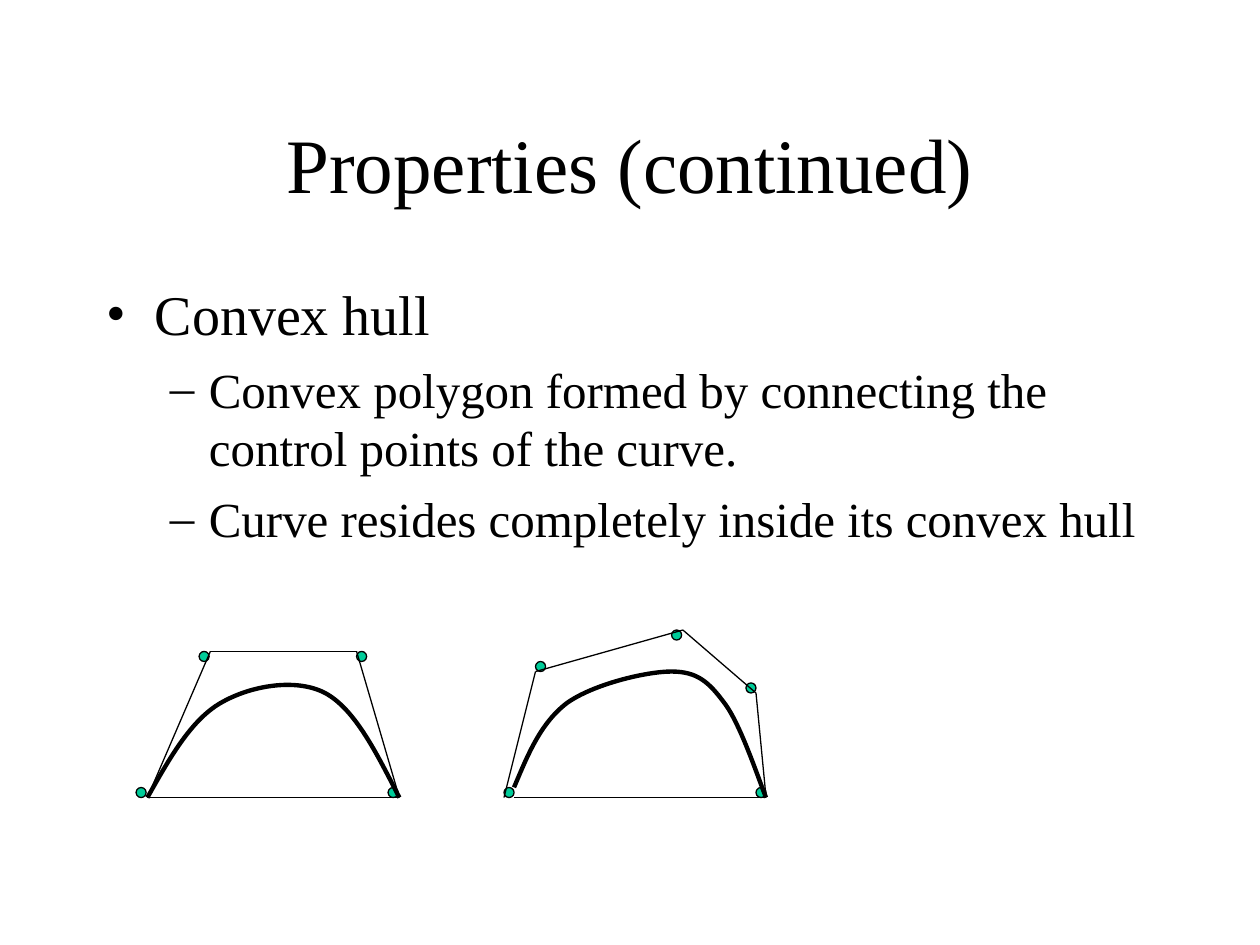
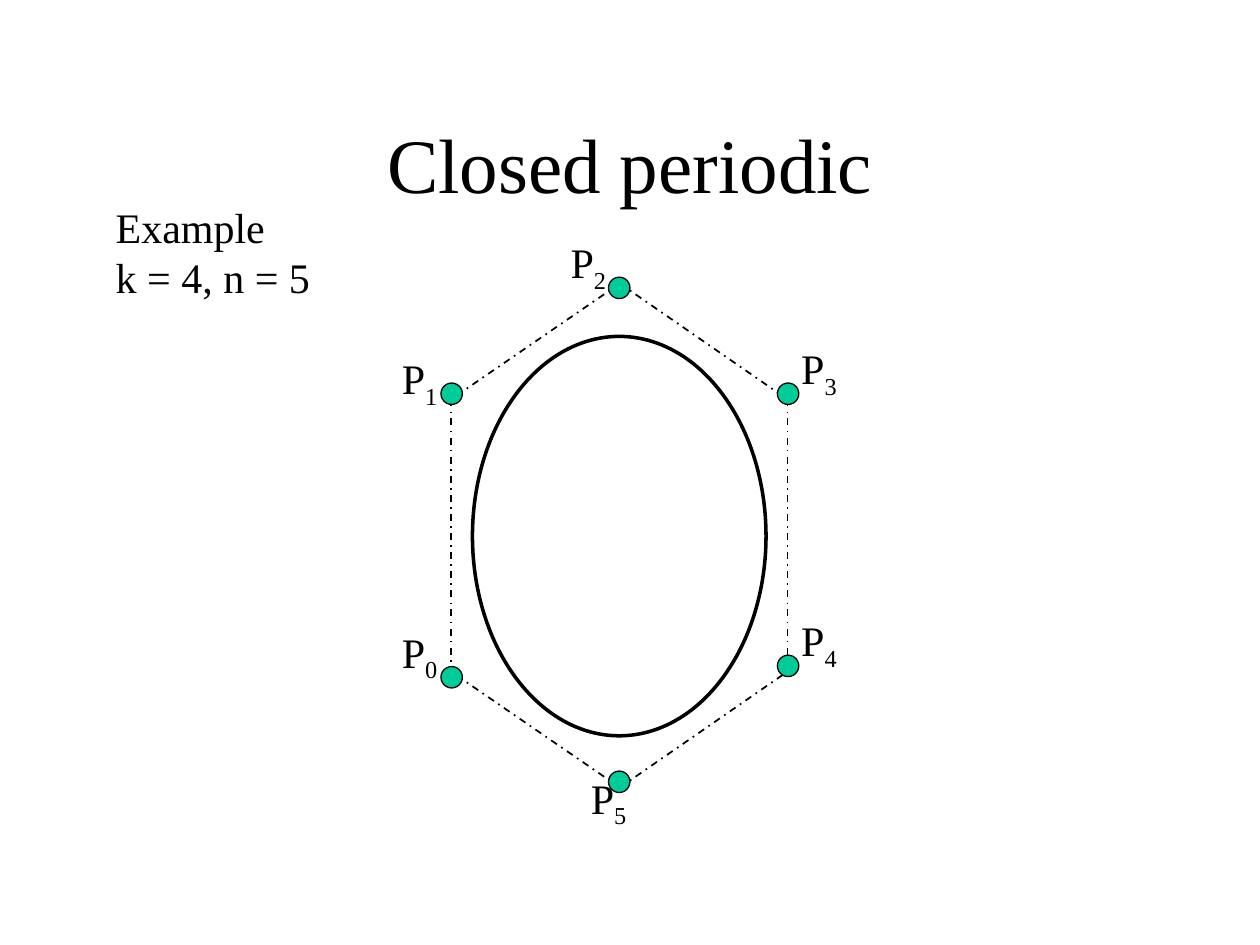
from dataclasses import dataclass

from lxml import etree
from pptx import Presentation
from pptx.dml.color import RGBColor
from pptx.enum import dml, shapes, text
from pptx.oxml.ns import qn
from pptx.util import Inches, Pt


@dataclass(frozen=True)
class Theme:
    font: str = "Times New Roman"
    ink: RGBColor = RGBColor(0x00, 0x00, 0x00)
    point: RGBColor = RGBColor(0x00, 0xCC, 0x99)
    title: int = 44
    bullet: int = 32
    sub_bullet: int = 28
    label: int = 24
    thin: float = 0.75
    dashed: float = 1
    ring: float = 2
    curve: float = 2.5


THEME = Theme()
TITLE_BOX = (0.75, 0.67, 8.5, 1.25)

# Bullet sign, size, text indent, hanging indent and space before, by level
BULLET_LEVELS = [
    ("•", THEME.bullet, 0.38, 0.38, 8),
    ("–", THEME.sub_bullet, 0.81, 0.31, 7),
]
HULL_BULLETS = [
    (0, "Convex hull"),
    (1, "Convex polygon formed by connecting the control points of the curve."),
    (1, "Curve resides completely inside its convex hull"),
]

# Offsets in inches from each figure's top left corner
FOUR_POINT_HULL = dict(
    points=[(0, 1.08), (0.5, 0), (1.75, 0), (2, 1.08)],
    hull=[(0.09, 1.16), (0.59, 0), (1.75, 0), (2.09, 1.16)],
    base_start=(0.09, 1.16),
    curve=[(0.09, 1.16), (0.26, 0.86), (0.43, 0.55), (0.67, 0.41),
           (0.91, 0.27), (1.27, 0.21), (1.5, 0.33),
           (1.74, 0.46), (1.91, 0.81), (2.09, 1.16)],
)
FIVE_POINT_HULL = dict(
    points=[(0, 1.25), (0.25, 0.25), (1.33, 0), (1.92, 0.42), (2, 1.25)],
    hull=[(0, 1.33), (0.25, 0.33), (1.42, 0), (2, 0.5), (2.08, 1.33)],
    base_start=(0.08, 1.33),
    curve=[(0.08, 1.25), (0.19, 0.99), (0.29, 0.74), (0.5, 0.58),
           (0.71, 0.43), (1.13, 0.33), (1.33, 0.33),
           (1.54, 0.33), (1.63, 0.42), (1.75, 0.58),
           (1.88, 0.75), (2.03, 1.21), (2.08, 1.33)],
)

# Polygon corner, dot and label of P0 to P5
PERIODIC_POINTS = [
    ((0.49, 3.5), (0.41, 3.46), (0, 3.09)),
    ((0.49, 1.34), (0.41, 1.21), (0, 0.92)),
    ((1.83, 0.42), (1.74, 0.37), (1.34, 0)),
    ((3.16, 1.34), (3.08, 1.21), (3.17, 0.84)),
    ((3.16, 3.5), (3.08, 3.37), (3.17, 3)),
    ((1.83, 4.42), (1.74, 4.29), (1.5, 4.25)),
]
PERIODIC_EDGES = [(2, 3), (2, 1), (5, 4), (5, 0), (1, 0), (3, 4)]


def shift(origin, offset):
    return origin[0] + offset[0], origin[1] + offset[1]


def style_runs(paragraph, size):
    for run in paragraph.runs:
        run.font.name = THEME.font
        run.font.size = Pt(size)
        run.font.color.rgb = THEME.ink


def style_line(line, width):
    line.color.rgb = THEME.ink
    line.width = Pt(width)


def add_titled_slide(deck, heading):
    slide = deck.slides.add_slide(deck.slide_layouts[5])
    title = slide.shapes.title
    title.left, title.top, title.width, title.height = map(Inches, TITLE_BOX)
    frame = title.text_frame
    frame.text = heading
    frame.auto_size = text.MSO_AUTO_SIZE.NONE
    frame.vertical_anchor = text.MSO_ANCHOR.MIDDLE
    frame.paragraphs[0].alignment = text.PP_ALIGN.CENTER
    style_runs(frame.paragraphs[0], THEME.title)
    return slide


def add_ellipse(slide, corner, width, height, line_width, fill=None):
    ellipse = slide.shapes.add_shape(
        shapes.MSO_SHAPE.OVAL, *map(Inches, (*corner, width, height)))
    ellipse.shadow.inherit = False
    if fill is None:
        ellipse.fill.background()
    else:
        ellipse.fill.solid()
        ellipse.fill.fore_color.rgb = fill
    style_line(ellipse.line, line_width)


def add_point(slide, corner, diameter):
    add_ellipse(slide, corner, diameter, diameter, THEME.thin, THEME.point)


def add_edge(slide, start, end, width, dash=None):
    edge = slide.shapes.add_connector(
        shapes.MSO_CONNECTOR.STRAIGHT, *map(Inches, (*start, *end)))
    style_line(edge.line, width)
    if dash is not None:
        edge.line.dash_style = dash
    etree.SubElement(edge._element.spPr, qn("a:effectLst"))


def add_curve(slide, knots):
    """Draw cubic Bézier segments; after the start, three knots make one."""
    start, *controls = [tuple(map(Inches, knot)) for knot in knots]
    builder = slide.shapes.build_freeform(*start)
    builder.add_line_segments(controls, close=False)
    curve = builder.convert_to_shape()
    curve.shadow.inherit = False
    curve.fill.background()
    style_line(curve.line, THEME.curve)

    outline = next(curve._element.iter(qn("a:path")))
    legs = outline.findall(qn("a:lnTo"))
    for first in range(0, len(legs), 3):
        segment = etree.SubElement(outline, qn("a:cubicBezTo"))
        for leg in legs[first:first + 3]:
            segment.append(leg[0])
            outline.remove(leg)


def add_bullets(slide, box, items):
    frame = slide.shapes.add_textbox(*map(Inches, box)).text_frame
    frame.word_wrap = True
    frame.text = "\n".join(wording for _, wording in items)
    for paragraph, (level, _) in zip(frame.paragraphs, items):
        sign, size, indent, hanging, space = BULLET_LEVELS[level]
        paragraph.level = level
        paragraph.space_before = Pt(space)
        style_runs(paragraph, size)
        properties = paragraph._p.get_or_add_pPr()
        properties.set("marL", str(Inches(indent)))
        properties.set("indent", str(-Inches(hanging)))
        etree.SubElement(properties, qn("a:buFont"), typeface=THEME.font)
        etree.SubElement(properties, qn("a:buChar"), char=sign)


def add_note(slide, box, wording, subscript=None):
    frame = slide.shapes.add_textbox(*map(Inches, box)).text_frame
    frame.word_wrap = False
    frame.auto_size = text.MSO_AUTO_SIZE.SHAPE_TO_FIT_TEXT
    frame.text = wording
    if subscript is not None:
        index = frame.paragraphs[0].add_run()
        index.text = subscript
        index._r.get_or_add_rPr().set("baseline", "-25000")
    for paragraph in frame.paragraphs:
        style_runs(paragraph, THEME.label)


def add_hull_figure(slide, origin, points, hull, base_start, curve):
    for point in points:
        add_point(slide, shift(origin, point), 0.08)
    for start, end in [*zip(hull, hull[1:]), (base_start, hull[-1])]:
        add_edge(slide, shift(origin, start), shift(origin, end), THEME.thin)
    add_curve(slide, [shift(origin, knot) for knot in curve])


def add_periodic_figure(slide, origin):
    add_ellipse(slide, shift(origin, (0.66, 0.84)), 2.33, 3.17, THEME.ring)
    corners = [shift(origin, corner) for corner, _, _ in PERIODIC_POINTS]
    for start, end in PERIODIC_EDGES:
        add_edge(slide, corners[start], corners[end], THEME.dashed,
                 dml.MSO_LINE.DASH_DOT)
    for number, (_, dot, label) in enumerate(PERIODIC_POINTS):
        add_point(slide, shift(origin, dot), 0.17)
        add_note(slide, (*shift(origin, label), 0.48, 0.56), "P", str(number))


def build_convex_hull_slide(deck):
    slide = add_titled_slide(deck, "Properties (continued)")
    add_bullets(slide, (0.75, 2.17, 8.5, 4.5), HULL_BULLETS)
    add_hull_figure(slide, (1.08, 5.17), **FOUR_POINT_HULL)
    add_hull_figure(slide, (4, 5), **FIVE_POINT_HULL)


def build_closed_periodic_slide(deck):
    slide = add_titled_slide(deck, "Closed periodic")
    add_periodic_figure(slide, (3.09, 1.83))
    add_note(slide, (0.82, 1.55, 1.74, 0.9), "Example\nk = 4, n = 5")


def main():
    deck = Presentation()
    deck.slide_width, deck.slide_height = Inches(10), Inches(7.5)
    build_convex_hull_slide(deck)
    build_closed_periodic_slide(deck)
    deck.save("out.pptx")


if __name__ == "__main__":
    main()
